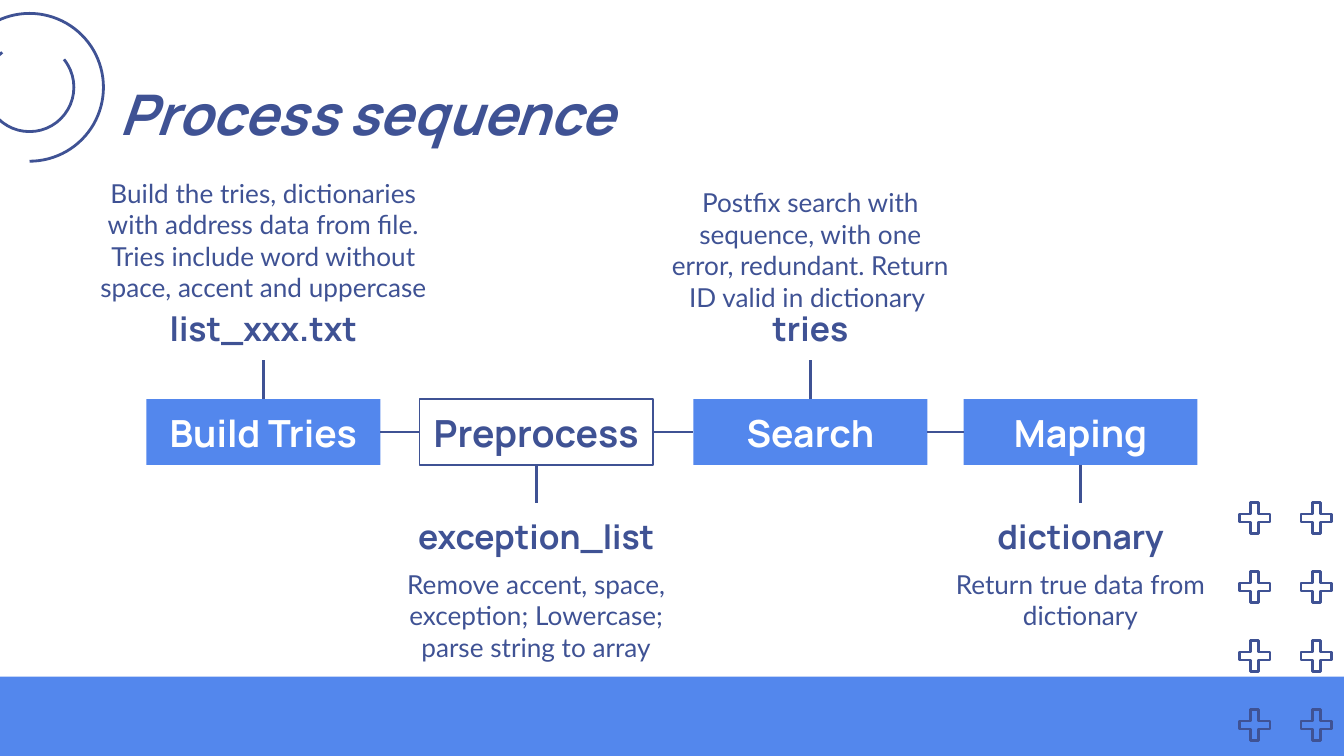
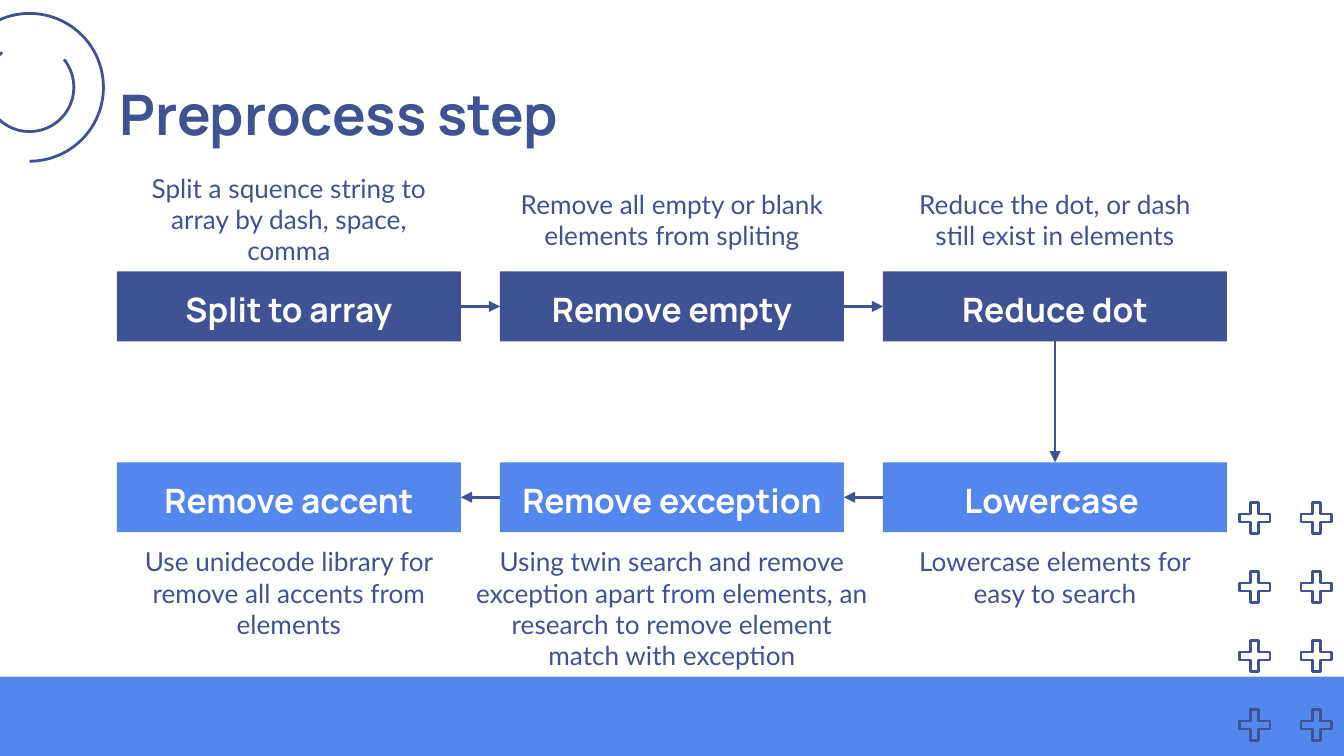
from dataclasses import dataclass

import pptx
import pptx.dml.color
import pptx.enum.shapes
import pptx.enum.text
import pptx.oxml
import pptx.oxml.ns
import pptx.util

Inches, Pt = pptx.util.Inches, pptx.util.Pt
RGB = pptx.dml.color.RGBColor.from_string
SHAPE = pptx.enum.shapes.MSO_SHAPE
LINE = pptx.enum.shapes.MSO_CONNECTOR
ALIGN = pptx.enum.text.PP_ALIGN
ANCHOR = pptx.enum.text.MSO_ANCHOR


@dataclass(frozen=True)
class Theme:
    navy: str = "3F5294"
    blue: str = "5387ED"
    white: str = "FFFFFF"
    head: str = "Manrope"
    body: str = "Lato"
    title_size: int = 30
    step_size: int = 20
    label_size: int = 18
    body_size: int = 14
    line: float = 1.5


T = Theme()
W = 10
H = W * 9 / 16
TOP, LEFT, BOTTOM, RIGHT = range(4)  # connection sites of a rectangle


def write(sp, text, size, color=T.navy, font=T.head, align=ALIGN.CENTER,
          anchor=ANCHOR.TOP, spacing=1.0, italic=False):
    """Put one formatted run into a shape; headings are bold."""
    tf = sp.text_frame
    tf.word_wrap = True
    tf.auto_size = pptx.enum.text.MSO_AUTO_SIZE.NONE
    tf.vertical_anchor = anchor
    tf.margin_left = tf.margin_right = tf.margin_top = tf.margin_bottom = Inches(0.1)
    p = tf.paragraphs[0]
    p.alignment, p.line_spacing = align, spacing
    r = p.add_run()
    r.text = text
    r.font.name, r.font.size = font, Pt(size)
    r.font.bold, r.font.italic = font == T.head, italic
    r.font.color.rgb = RGB(color)


def link(s, start, start_site, end, end_site, arrow=False):
    """Join two shapes with a plain line or an elbow arrow."""
    cn = s.shapes.add_connector(LINE.ELBOW if arrow else LINE.STRAIGHT, 0, 0, 0, 0)
    cn.begin_connect(start, start_site)
    cn.end_connect(end, end_site)
    cn.line.color.rgb, cn.line.width = RGB(T.navy), Pt(T.line)
    if arrow:
        tail = pptx.oxml.parse_xml(
            f'<a:tailEnd {pptx.oxml.ns.nsdecls("a")} type="triangle"/>')
        cn.line._get_or_add_ln().append(tail)
    cn._element.spPr.append(
        pptx.oxml.parse_xml(f'<a:effectLst {pptx.oxml.ns.nsdecls("a")}/>'))


prs = pptx.Presentation()
prs.slide_width, prs.slide_height = Inches(W), Inches(H)

# Shared frame: band, crosses, rings and title
slides = []
for title, italic in [("Process sequence", True), ("Preprocess step", False)]:
    s = prs.slides.add_slide(prs.slide_layouts[5])
    s.background.fill.solid()
    s.background.fill.fore_color.rgb = RGB(T.white)

    band = s.shapes.add_shape(SHAPE.RECTANGLE, 0, Inches(H - 0.59), Inches(W), Inches(0.59))
    band.shadow.inherit = False
    band.fill.solid()
    band.fill.fore_color.rgb = RGB(T.blue)
    band.line.fill.background()

    outlines = []
    for col in range(2):
        for row in range(4):
            cross = s.shapes.add_shape(
                SHAPE.CROSS, Inches(9.22 + 0.46 * col), Inches(3.74 + 1.54 / 3 * row),
                Inches(0.23), Inches(0.23))
            cross.adjustments[0] = 0.37
            outlines.append(cross)
    for radius, start, end in [(0.55, 180, 90), (0.33, 321, 232)]:
        ring = s.shapes.add_shape(
            SHAPE.ARC, Inches(0.22 - radius), Inches(0.65 - radius),
            Inches(2 * radius), Inches(2 * radius))
        # Arc angles are stored in 60000ths of a degree
        ring.adjustments[0], ring.adjustments[1] = start * 0.6, end * 0.6
        outlines.append(ring)
    for sp in outlines:
        sp.shadow.inherit = False
        sp.fill.background()
        sp.line.color.rgb, sp.line.width = RGB(T.navy), Pt(T.line)

    sp = s.shapes.title
    sp.left, sp.top, sp.width, sp.height = map(Inches, (0.79, 0.49, 8.43, 0.63))
    write(sp, title, T.title_size, align=ALIGN.LEFT, italic=italic)
    slides.append(s)

# Slide 1: chain of steps, with notes above and below in turn
s = slides[0]
STEP_W, STEP_H, STEP_TOP, NOTE_W = 1.74, 0.49, 2.97, 2.34
# left, step, label, note, note top, note width
steps = [
    (1.09, "Build Tries", "list_xxx.txt",
     "Build the tries, dictionaries with address data from file. "
     "Tries include word without space, accent and uppercase", 1.22, 2.75),
    (3.12, "Preprocess", "exception_list",
     "Remove accent, space, exception; Lowercase; parse string to array", 4.13, NOTE_W),
    (5.16, "Search", "tries",
     "Postfix search with sequence, with one error, redundant. "
     "Return ID valid in dictionary ", 1.29, NOTE_W),
    (7.17, "Maping", "dictionary", "Return true data from dictionary", 4.13, NOTE_W),
]
previous = None
for i, (left, step, label, note, note_top, note_w) in enumerate(steps):
    center = left + STEP_W / 2
    above = i % 2 == 0
    outlined = step == "Preprocess"

    box = s.shapes.add_shape(SHAPE.RECTANGLE, Inches(left), Inches(STEP_TOP),
                             Inches(STEP_W), Inches(STEP_H))
    box.shadow.inherit = False
    box.fill.solid()
    box.fill.fore_color.rgb = RGB(T.white if outlined else T.blue)
    if outlined:
        box.line.color.rgb, box.line.width = RGB(T.navy), Pt(0.75)
    else:
        box.line.fill.background()
    write(box, step, T.step_size, T.navy if outlined else T.white, anchor=ANCHOR.MIDDLE)

    tag = s.shapes.add_textbox(Inches(center - NOTE_W / 2), Inches(2.19 if above else 3.74),
                               Inches(NOTE_W), Inches(0.49 if above else 0.42))
    write(tag, label, T.label_size)
    sp = s.shapes.add_textbox(Inches(center - note_w / 2), Inches(note_top),
                              Inches(note_w), Inches(1.05 if i == 0 else 0.63))
    write(sp, note, T.body_size, font=T.body)

    link(s, box, TOP if above else BOTTOM, tag, BOTTOM if above else TOP)
    if previous:
        link(s, previous, RIGHT, box, LEFT)
    previous = box

# Slide 2: two rows of three, running right and then back left
s = slides[1]
COL_W, COL_PITCH, ROW_H = 2.56, 2.85, 0.52
# name, column, row, note, note top, note width, note height
stages = [
    ("Split to array", 0, 0,
     "Split a squence string to array by dash, space, comma", 1.18, COL_W, 0.84),
    ("Remove empty", 1, 0,
     "Remove all empty or blank elements from spliting", 1.3, COL_W, 0.71),
    ("Reduce dot", 2, 0,
     "Reduce the dot, or dash still exist in elements", 1.3, COL_W, 0.71),
    ("Lowercase ", 2, 1, "Lowercase elements for easy to search", 3.96, COL_W, 0.71),
    ("Remove exception", 1, 1,
     "Using twin search and remove exception apart from elements, "
     "an research to remove element match with exception", 3.96, 3.14, 1.02),
    ("Remove accent", 0, 1,
     "Use unidecode library for remove all accents from elements", 3.96, COL_W, 0.71),
]
boxes = []
for name, col, row, note, note_top, note_w, note_h in stages:
    left = 0.87 + COL_PITCH * col
    box = s.shapes.add_shape(SHAPE.RECTANGLE, Inches(left), Inches(2.02 + 1.42 * row),
                             Inches(COL_W), Inches(ROW_H))
    box.shadow.inherit = False
    box.fill.solid()
    box.fill.fore_color.rgb = RGB(T.blue if row else T.navy)
    box.line.fill.background()
    write(box, name, T.label_size, T.white, anchor=ANCHOR.MIDDLE, spacing=1.15)
    boxes.append(box)

    sp = s.shapes.add_textbox(Inches(left + (COL_W - note_w) / 2), Inches(note_top),
                              Inches(note_w), Inches(note_h))
    write(sp, note, T.body_size, font=T.body)

exits = [(RIGHT, LEFT)] * 2 + [(BOTTOM, TOP)] + [(LEFT, RIGHT)] * 2
for start, end, (start_site, end_site) in zip(boxes, boxes[1:], exits):
    link(s, start, start_site, end, end_site, arrow=True)

prs.save("out.pptx")
